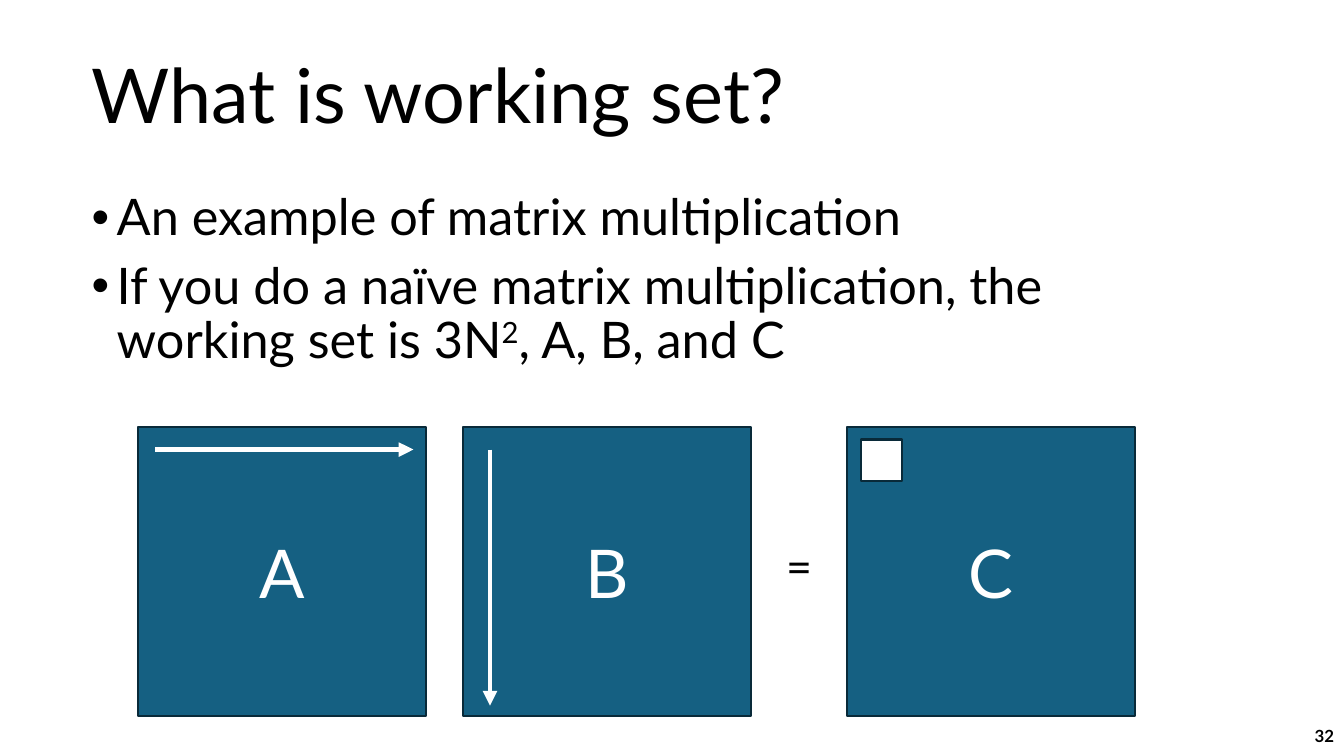
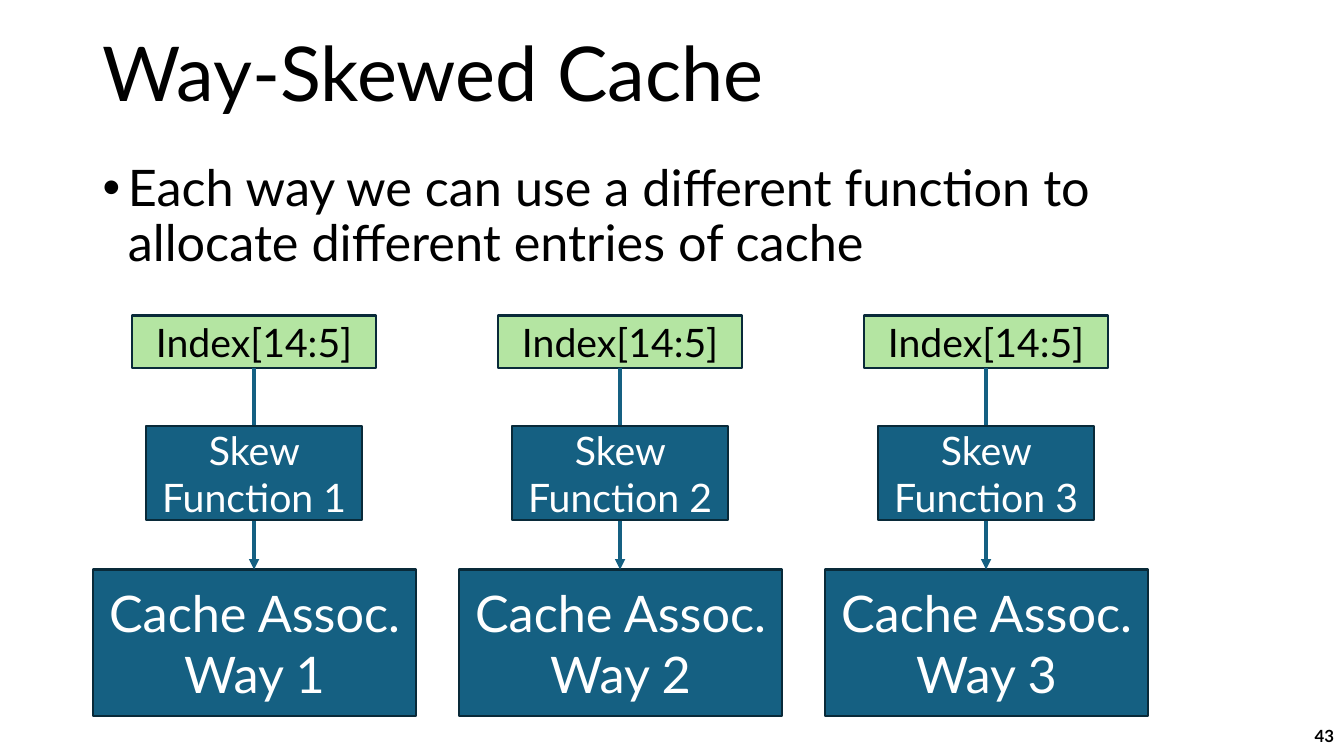
"""Build two lecture slides on working sets and way-skewed caches."""
from lxml.etree import SubElement
from pptx import Presentation
from pptx.dml.color import RGBColor
from pptx.enum.shapes import MSO_CONNECTOR as Connector, MSO_SHAPE as Shape
from pptx.enum.text import MSO_ANCHOR as Anchor, MSO_AUTO_SIZE as AutoSize, PP_ALIGN as Align
from pptx.oxml.ns import qn
from pptx.util import Pt

PX = 9144
FONT = "Lato"
BLACK, WHITE = "000000", "FFFFFF"
BLUE, NAVY, GREEN = "156082", "092A39", "B4E5A2"
SUPERSCRIPT = "30000"

WORKING_SET = {
    "title": "What is working set?",
    "title_box": (81, 26, 1150, 145),
    "bullets": [
        [("An example of matrix multiplication", None)],
        [("If you do a naïve matrix multiplication, the working set is 3N", None),
         ("2", SUPERSCRIPT), (", A, B, and C", None)],
    ],
    "body_box": (81, 186, 1150, 476),
    "number": "32",
}
SKEWED_CACHE = {
    "title": "Way-Skewed Cache",
    "title_box": (92, 4, 1150, 145),
    "bullets": [[("Each way we can use a different function to "
                  "allocate different entries of cache", None)]],
    "body_box": (92, 157, 1150, 169),
    "number": "43",
}
NUMBER_BOX = (1033, 710, 300, 40)

MATRICES = [("A", 137), ("B", 459), ("C", 840)]
MATRIX_TOP, MATRIX_SIDE = 424, 286
EQUALS_BOX = (770, 529, 44, 64)
SCAN_ARROWS = [((154, 446), (410, 446)), ((486, 446), (486, 700))]
RESULT_CELL = (854, 436, 41, 41)

WAYS = (1, 2, 3)
FIRST_WAY_CENTER, WAY_PITCH = 252, 363
INDEX = {"label": "Index[14:5]", "top": 313, "size": (242, 52),
         "fill": GREEN, "points": 28, "color": BLACK}
CACHE = {"label": "Cache Assoc. Way {}", "top": 565, "size": (321, 145),
         "fill": BLUE, "points": 36, "color": WHITE}
SKEW = {"label": "Skew Function {}", "top": 423, "size": (214, 93),
        "fill": BLUE, "points": 28, "color": WHITE}


def rgb(color):
    return RGBColor.from_string(color)


def emu(lengths):
    return [length * PX for length in lengths]


def add_run(paragraph, text, points, color=BLACK, bold=False, baseline=None):
    run = paragraph.add_run()
    run.text = text
    run.font.name = FONT
    run.font.size = Pt(points)
    run.font.bold = bold
    run.font.color.rgb = rgb(color)
    if baseline:
        run.font._element.set("baseline", baseline)


def add_label(slide, box, text, points, align=Align.LEFT, bold=False, wrap=True):
    frame = slide.shapes.add_textbox(*emu(box)).text_frame
    frame.word_wrap = wrap
    frame.vertical_anchor = Anchor.MIDDLE
    frame.paragraphs[0].alignment = align
    add_run(frame.paragraphs[0], text, points, bold=bold)


def add_rect(slide, box, fill, text="", points=0, color=WHITE):
    rect = slide.shapes.add_shape(Shape.RECTANGLE, *emu(box))
    rect.shadow.inherit = False
    rect.fill.solid()
    rect.fill.fore_color.rgb = rgb(fill)
    rect.line.color.rgb = rgb(NAVY)
    rect.line.width = Pt(1.5)
    if text:
        frame = rect.text_frame
        frame.word_wrap = True
        frame.vertical_anchor = Anchor.MIDDLE
        frame.paragraphs[0].alignment = Align.CENTER
        add_run(frame.paragraphs[0], text, points, color)


def add_arrow(slide, start, end, color, points):
    arrow = slide.shapes.add_connector(Connector.STRAIGHT, *emu(start), *emu(end))
    arrow.line.color.rgb = rgb(color)
    arrow.line.width = Pt(points)
    SubElement(arrow.line._get_or_add_ln(), qn("a:tailEnd"), type="triangle")
    SubElement(arrow._element.spPr, qn("a:effectLst"))


def add_bullets(slide, box, bullets):
    frame = slide.shapes.add_textbox(*emu(box)).text_frame
    frame.word_wrap = True
    for position, pieces in enumerate(bullets):
        bullet = frame.add_paragraph() if position else frame.paragraphs[0]
        properties = bullet._p.get_or_add_pPr()
        properties.set("marL", str(25 * PX))
        properties.set("indent", str(-25 * PX))
        SubElement(properties, qn("a:buFont"), typeface="Arial")
        SubElement(properties, qn("a:buChar"), char="•")
        bullet.line_spacing = 0.9
        bullet.space_before = Pt(10 if position else 0)
        for text, baseline in pieces:
            add_run(bullet, text, 36, baseline=baseline)


def start_slide(deck, content):
    slide = deck.slides.add_slide(deck.slide_layouts[5])
    title = slide.shapes.title
    title.left, title.top, title.width, title.height = emu(content["title_box"])
    frame = title.text_frame
    frame.auto_size = AutoSize.NONE
    frame.word_wrap = True
    frame.vertical_anchor = Anchor.MIDDLE
    heading = frame.paragraphs[0]
    heading.alignment = Align.LEFT
    heading.line_spacing = 0.9
    add_run(heading, content["title"], 54)
    add_bullets(slide, content["body_box"], content["bullets"])
    add_label(slide, NUMBER_BOX, content["number"], 12, Align.RIGHT, bold=True)
    return slide


def build_working_set(deck):
    slide = start_slide(deck, WORKING_SET)
    for name, left in MATRICES:
        add_rect(slide, (left, MATRIX_TOP, MATRIX_SIDE, MATRIX_SIDE), BLUE, name, 48)
    add_label(slide, EQUALS_BOX, "=", 32, wrap=False)
    for start, end in SCAN_ARROWS:
        add_arrow(slide, start, end, WHITE, 3.5)
    add_rect(slide, RESULT_CELL, WHITE)


def add_stage(slide, stage, way, center):
    width, height = stage["size"]
    box = (center - width // 2, stage["top"], width, height)
    add_rect(slide, box, stage["fill"], stage["label"].format(way),
             stage["points"], stage["color"])


def build_skewed_cache(deck):
    slide = start_slide(deck, SKEWED_CACHE)
    index_bottom = INDEX["top"] + INDEX["size"][1]
    for column, way in enumerate(WAYS):
        center = FIRST_WAY_CENTER + column * WAY_PITCH
        add_stage(slide, CACHE, way, center)
        add_stage(slide, INDEX, way, center)
        add_arrow(slide, (center, index_bottom), (center, CACHE["top"]), BLUE, 2.5)
        add_stage(slide, SKEW, way, center)


def main():
    deck = Presentation()
    deck.slide_width, deck.slide_height = emu((1333, 750))
    build_working_set(deck)
    build_skewed_cache(deck)
    deck.save("out.pptx")


if __name__ == "__main__":
    main()
